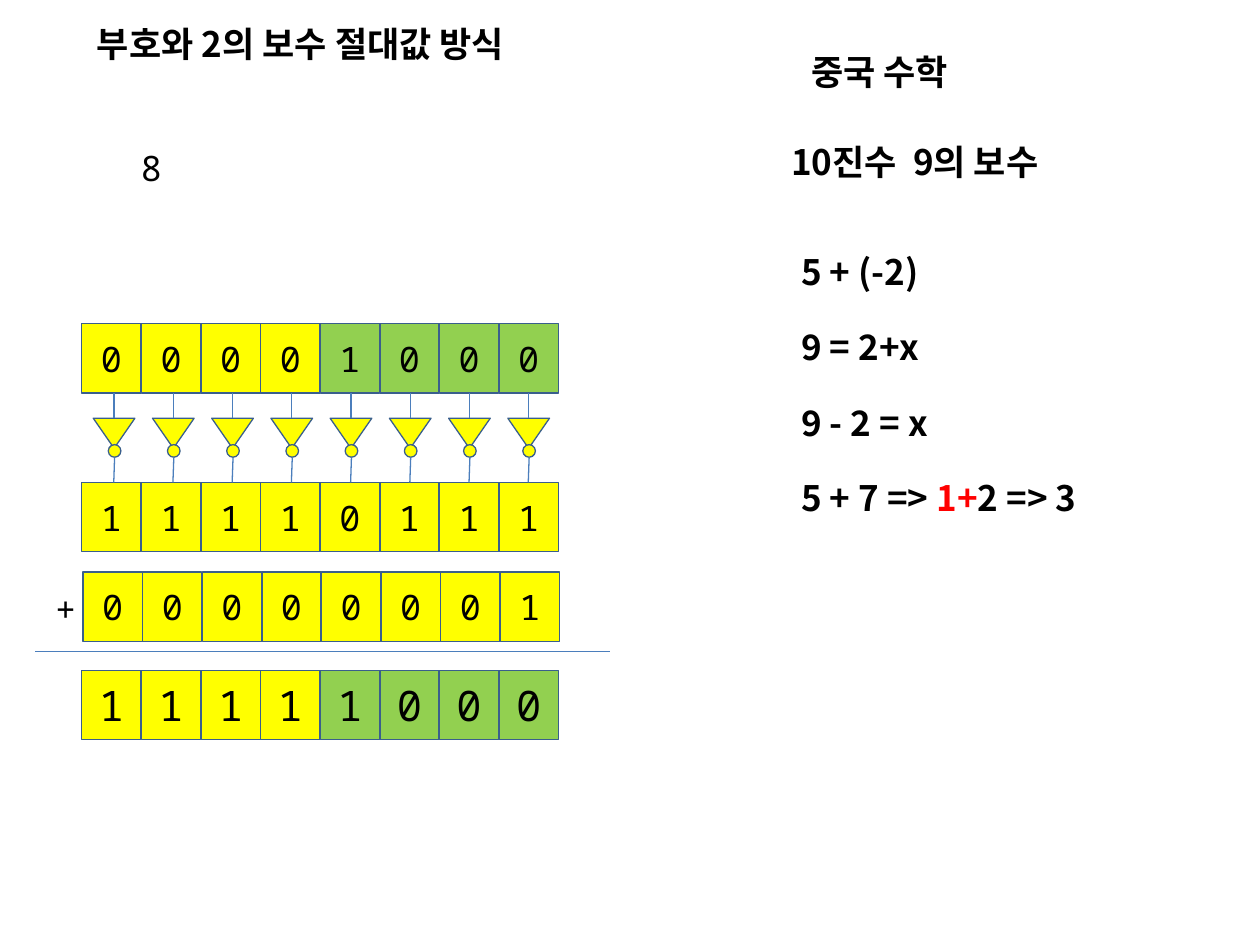
from lxml.etree import SubElement
from pptx import Presentation
from pptx.dml.color import RGBColor
from pptx.enum.shapes import MSO_CONNECTOR as CONN, MSO_SHAPE as SHAPE
from pptx.enum.text import MSO_ANCHOR as ANCHOR, MSO_AUTO_SIZE as AUTO, PP_ALIGN as ALIGN
from pptx.oxml.ns import qn
from pptx.util import Pt

KOREAN, MONO = "Noto Sans CJK KR", "Noto Sans Mono"
YELLOW, GREEN, BLACK, RED = "FFFF00", "92D050", "000000", "FF0000"
OUTLINE, WIRE = "3A5F8C", "4B7EBC"
PITCH, CELL_W, CELL_H = 34.06, 33.84, 39.6


def rgb(value):
    """Turn a hex string into a colour."""
    return RGBColor.from_string(value)


def add_run(p, text, font, size=20, bold=False, color=BLACK):
    """Append a formatted run to a paragraph."""
    r = p.add_run()
    r.text = text
    for name, value in {"name": font, "size": Pt(size), "bold": bold}.items():
        setattr(r.font, name, value)
    r.font.color.rgb = rgb(color)
    SubElement(r.font._element, qn("a:ea"), typeface=font)


def set_text(sp, lines, font, bold=False, wrap=False, gap=0):
    """Fill a text shape with lines, each a list of (text, colour) runs."""
    tf = sp.text_frame
    frame = {"word_wrap": wrap, "auto_size": AUTO.SHAPE_TO_FIT_TEXT,
             "vertical_anchor": ANCHOR.TOP}
    for name, value in frame.items():
        setattr(tf, name, value)
    for i, runs in enumerate(lines):
        p = tf.add_paragraph() if i else tf.paragraphs[0]
        p.alignment = ALIGN.LEFT
        p.space_before = Pt(gap if i else 0)
        for text, color in runs:
            add_run(p, text, font, bold=bold, color=color)


def add_title(s, text, x, y, w, h):
    """Place the slide title."""
    sp = s.shapes.title
    for name, value in zip(("left", "top", "width", "height"), (x, y, w, h)):
        setattr(sp, name, Pt(value))
    set_text(sp, [[(text, BLACK)]], KOREAN, bold=True)


def add_text(s, lines, x, y, w, h, font=KOREAN, **options):
    """Place a text box."""
    sp = s.shapes.add_textbox(Pt(x), Pt(y), Pt(w), Pt(h))
    set_text(sp, lines, font, **options)


def add_part(parent, kind, x, y, w, h, fill=YELLOW):
    """Place an outlined preset shape."""
    sp = parent.shapes.add_shape(kind, Pt(x), Pt(y), Pt(w), Pt(h))
    sp.shadow.inherit = False
    sp.fill.solid()
    sp.fill.fore_color.rgb = rgb(fill)
    sp.line.color.rgb = rgb(OUTLINE)
    sp.line.width = Pt(0.75)
    return sp


def add_wire(parent, x1, y1, x2, y2):
    """Place a thin straight line."""
    line = parent.shapes.add_connector(CONN.STRAIGHT, Pt(x1), Pt(y1), Pt(x2), Pt(y2))
    line.line.color.rgb = rgb(WIRE)
    line.line.width = Pt(0.75)
    SubElement(line._element.spPr, qn("a:effectLst"))


def add_bits(s, bits, x, y, low_fill=YELLOW, size=20):
    """Place a row of bit cells, with the low four bits in their own fill."""
    for i, bit in enumerate(bits):
        fill = YELLOW if i < 4 else low_fill
        sp = add_part(s, SHAPE.RECTANGLE, x + i * PITCH, y, CELL_W, CELL_H, fill)
        sp.text_frame.vertical_anchor = ANCHOR.MIDDLE
        p = sp.text_frame.paragraphs[0]
        p.alignment = ALIGN.CENTER
        add_run(p, bit, MONO, size)


def add_inverter(s, x, y):
    """Place one NOT gate with its input and output wires."""
    gate = s.shapes.add_group_shape()
    add_part(gate, SHAPE.ISOSCELES_TRIANGLE, x, y + 14.4, 23.8, 17.2).rotation = 180
    add_part(gate, SHAPE.OVAL, x + 8.6, y + 29.5, 7.2, 7.2)
    add_wire(gate, x + 11.9, y, x + 11.9, y + 14.4)
    add_wire(gate, x + 12.2, y + 36.7, x + 11.7, y + 51.1)


def add_addition(s, x, y):
    """Place the two's complement calculation."""
    add_bits(s, "00001000", x, y, GREEN)
    add_bits(s, "11110111", x, y + 90.7)
    for i in range(8):
        add_inverter(s, x + 6.5 + i * CELL_W, y + 39.6)
    add_bits(s, "00000001", x + 0.7, y + 141.8)
    add_text(s, [[("+", BLACK)]], x - 22.3, y + 146.9, 25.9, 31.7, MONO)
    add_wire(s, x - 26.6, y + 187.2, x + 301.7, y + 187.2)
    add_bits(s, "11111000", x, y + 198, GREEN, 24)


def add_decimal(s, x, y):
    """Place the nines' complement example."""
    add_text(s, [[("중국 수학 ", BLACK)]], x + 11.5, y, 109.4, 31.7, bold=True)
    add_text(s, [[("10진수  9의 보수 ", BLACK)]], x, y + 51.8, 179.3, 31.7, bold=True)
    lines = [[("5 + (-2)", BLACK)], [("9 = 2+x", BLACK)], [("9 - 2 = x", BLACK)],
             [("5 + 7 => ", BLACK), ("1+", RED), ("2 => 3", BLACK)]]
    add_text(s, lines, x + 5.8, y + 114.5, 203, 177.1, bold=True, wrap=True, gap=19)


def main():
    """Build and save the slide."""
    prs = Presentation()
    prs.slide_width, prs.slide_height = Pt(720), Pt(540)
    s = prs.slides.add_slide(prs.slide_layouts[5])
    add_title(s, "부호와 2의 보수 절대값 방식 ", 48.2, 9.4, 283.7, 31.7)
    add_text(s, [[("8", BLACK)]], 73.4, 79.9, 25.9, 31.7, MONO)
    add_addition(s, 46.8, 185)
    add_decimal(s, 445, 25.2)
    prs.save("out.pptx")


main()
